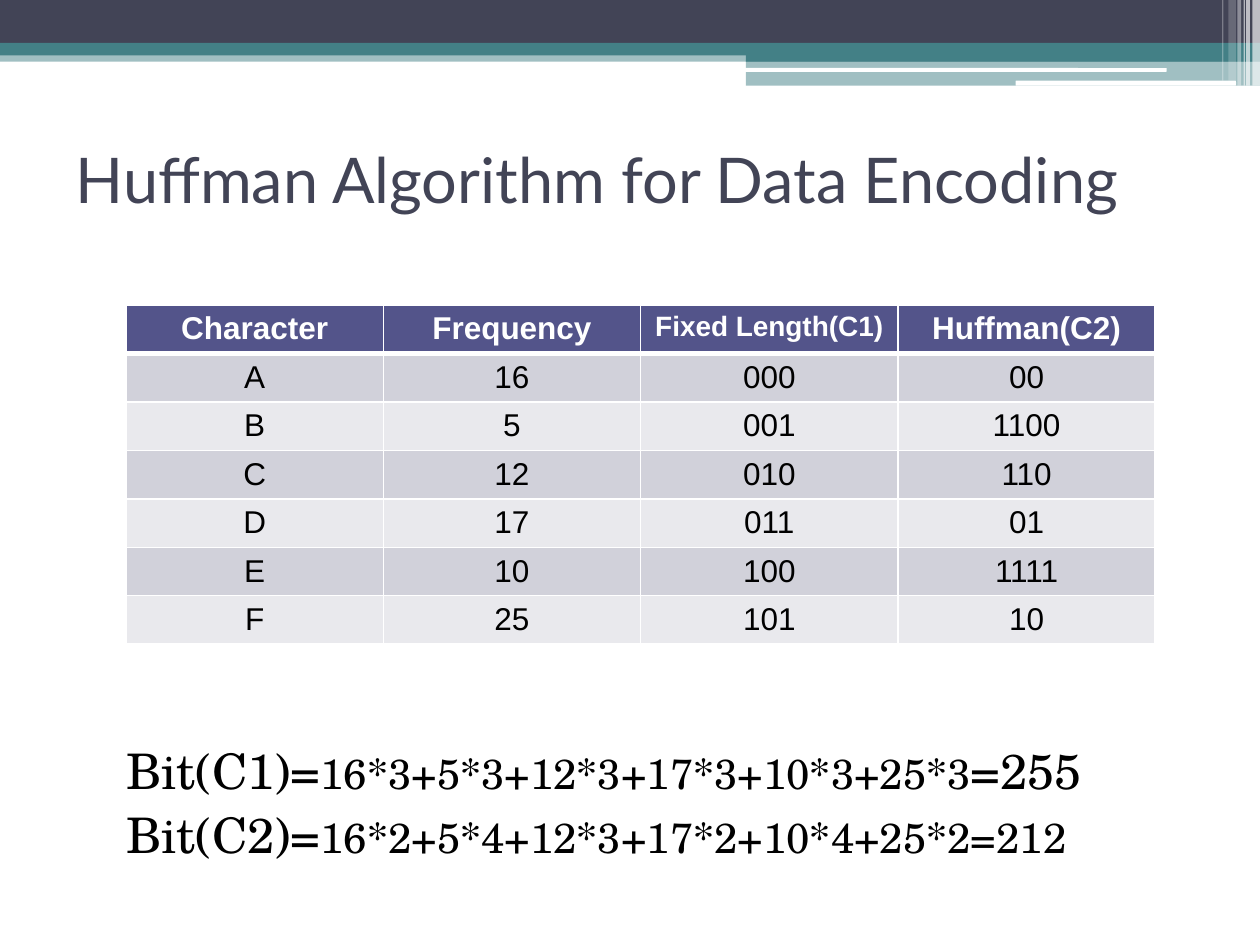
from lxml import etree
from pptx import Presentation
from pptx.dml.color import RGBColor
from pptx.enum.shapes import MSO_SHAPE
from pptx.enum.text import MSO_ANCHOR, MSO_AUTO_SIZE, PP_ALIGN
from pptx.oxml.ns import qn
from pptx.util import Inches, Pt

RECTANGLE = MSO_SHAPE.RECTANGLE
ROUNDED = MSO_SHAPE.ROUNDED_RECTANGLE
MIDDLE, BOTTOM = MSO_ANCHOR.MIDDLE, MSO_ANCHOR.BOTTOM
LEFT, CENTER = PP_ALIGN.LEFT, PP_ALIGN.CENTER
NO_AUTOFIT = MSO_AUTO_SIZE.NONE

WHITE = RGBColor(0xFF, 0xFF, 0xFF)
BLACK = RGBColor(0x00, 0x00, 0x00)
SLATE = RGBColor(0x42, 0x44, 0x56)
TEAL = RGBColor(0x43, 0x80, 0x86)
INDIGO = RGBColor(0x53, 0x54, 0x8A)
BANDS = (RGBColor(0xD1, 0xD1, 0xDA), RGBColor(0xE9, 0xE9, 0xED))

TITLE_FONT, TABLE_FONT, FORMULA_FONT = "Lato", "Arial", "TeX Gyre Schola"

# Left, top, width, height, colour, opacity in percent
BANNER_BARS = [
    (0, 0.4, 10, 0.09, TEAL, 50),
    (0, 0, 10, 0.34, SLATE, 100),
    (0, 0.34, 10, 0.1, TEAL, 100),
    (5.92, 0.39, 4.08, 0.1, TEAL, 100),
    (5.92, 0.48, 4.08, 0.2, TEAL, 50),
]
BANNER_LINES = [(5.91, 0.54, 3.35, 0.03), (8.06, 0.64, 1.75, 0.04)]
# Left, width, height, opacity in percent
EDGE_STRIPES = [
    (9.94, 0.06, 0.68, 65),
    (9.89, 0.03, 0.68, 65),
    (9.87, 0.01, 0.68, 60),
    (9.82, 0.03, 0.68, 40),
    (9.75, 0.06, 0.64, 20),
    (9.7, 0.01, 0.64, 30),
]
CODE_TABLE = [
    ("Character", "Frequency", "Fixed Length(C1)", "Huffman(C2)"),
    ("A", "16", "000", "00"),
    ("B", "5", "001", "1100"),
    ("C", "12", "010", "110"),
    ("D", "17", "011", "01"),
    ("E", "10", "100", "1111"),
    ("F", "25", "101", "10"),
]
# Each formula is a list of (text, size)
FORMULAS = [
    [("Bit(C1)=", 28), ("16*3+5*3+12*3+17*3+10*3+25*3", 24), ("=255", 28)],
    [("Bit(C2)=", 28), ("16*2+5*4+12*3+17*2+10*4+25*2=212", 24)],
]


class SlideBuilder:
    def __init__(self, slide):
        self.slide = slide

    def style_font(self, font, name, size, color, bold=False):
        font.name, font.size, font.bold = name, Pt(size), bold
        font.color.rgb = color

    def place(self, shape, left, top, width, height):
        shape.left, shape.top = Inches(left), Inches(top)
        shape.width, shape.height = Inches(width), Inches(height)

    def bar(self, left, top, width, height, color, opacity=100, kind=RECTANGLE):
        shape = self.slide.shapes.add_shape(
            kind, Inches(left), Inches(top), Inches(width), Inches(height))
        shape.shadow.inherit = False
        shape.line.fill.background()
        shape.fill.solid()
        shape.fill.fore_color.rgb = color
        if opacity < 100:
            color_element = shape.fill._xPr.find(".//" + qn("a:srgbClr"))
            etree.SubElement(color_element, qn("a:alpha"), val=str(opacity * 1000))

    def title(self, text, *box):
        shape = self.slide.shapes.title
        self.place(shape, *box)
        frame = shape.text_frame
        frame.text = text
        frame.auto_size, frame.vertical_anchor = NO_AUTOFIT, MIDDLE
        paragraph = frame.paragraphs[0]
        paragraph.alignment = LEFT
        self.style_font(paragraph.font, TITLE_FONT, 36, SLATE)

    def formulas(self, lines, *box):
        shape = self.slide.placeholders[1]
        self.place(shape, *box)
        frame = shape.text_frame
        frame.auto_size, frame.vertical_anchor = NO_AUTOFIT, BOTTOM
        for index, line in enumerate(lines):
            paragraph = frame.add_paragraph() if index else frame.paragraphs[0]
            paragraph.space_before = Pt(3)
            self.style_font(paragraph.font, FORMULA_FONT, 28, BLACK)
            properties = paragraph._p.get_or_add_pPr()
            properties.set("marL", str(Inches(0.4)))
            properties.set("indent", "0")
            bullet = etree.Element(qn("a:buNone"))
            properties.find(qn("a:defRPr")).addprevious(bullet)
            for text, size in line:
                run = paragraph.add_run()
                run.text = text
                run.font.size = Pt(size)

    def cell_borders(self, cell, bottom_width):
        properties = cell._tc.get_or_add_tcPr()
        widths = (("lnL", 1), ("lnR", 1), ("lnT", 1), ("lnB", bottom_width))
        for index, (side, width) in enumerate(widths):
            line = etree.Element(qn("a:" + side), w=str(Pt(width)))
            fill = etree.SubElement(line, qn("a:solidFill"))
            etree.SubElement(fill, qn("a:srgbClr"), val=str(WHITE))
            properties.insert(index, line)

    def table(self, rows, left, top, width, row_height):
        table = self.slide.shapes.add_table(
            len(rows), len(rows[0]), Inches(left), Inches(top),
            Inches(width), Inches(row_height * len(rows))).table
        table.horz_banding = False
        for row_index, row in enumerate(rows):
            header = row_index == 0
            for column_index, text in enumerate(row):
                cell = table.cell(row_index, column_index)
                cell.text = text
                cell.fill.solid()
                cell.fill.fore_color.rgb = INDIGO if header else BANDS[(row_index - 1) % 2]
                self.cell_borders(cell, 3 if header else 1)
                paragraph = cell.text_frame.paragraphs[0]
                paragraph.alignment = CENTER
                # The longest heading is set smaller to stay on one line
                size = 16 if len(text) > 12 else 18
                self.style_font(paragraph.font, TABLE_FONT, size,
                                WHITE if header else BLACK, header)


def main():
    presentation = Presentation()
    presentation.slide_width, presentation.slide_height = Inches(10), Inches(7.5)
    builder = SlideBuilder(
        presentation.slides.add_slide(presentation.slide_layouts[1]))

    # Banner
    for bar in BANNER_BARS:
        builder.bar(*bar)
    for line in BANNER_LINES:
        builder.bar(*line, WHITE, kind=ROUNDED)
    for left, width, height, opacity in EDGE_STRIPES:
        builder.bar(left, 0, width, height, WHITE, opacity)

    # Title, code table and bit counts
    builder.title("Huffman Algorithm for Data Encoding", 0.5, 1, 9, 0.83)
    builder.formulas(FORMULAS, 0.5, 2.17, 9, 4.73)
    builder.table(CODE_TABLE, 1, 2.42, 8.17, 0.385)

    presentation.save("out.pptx")


if __name__ == "__main__":
    main()
